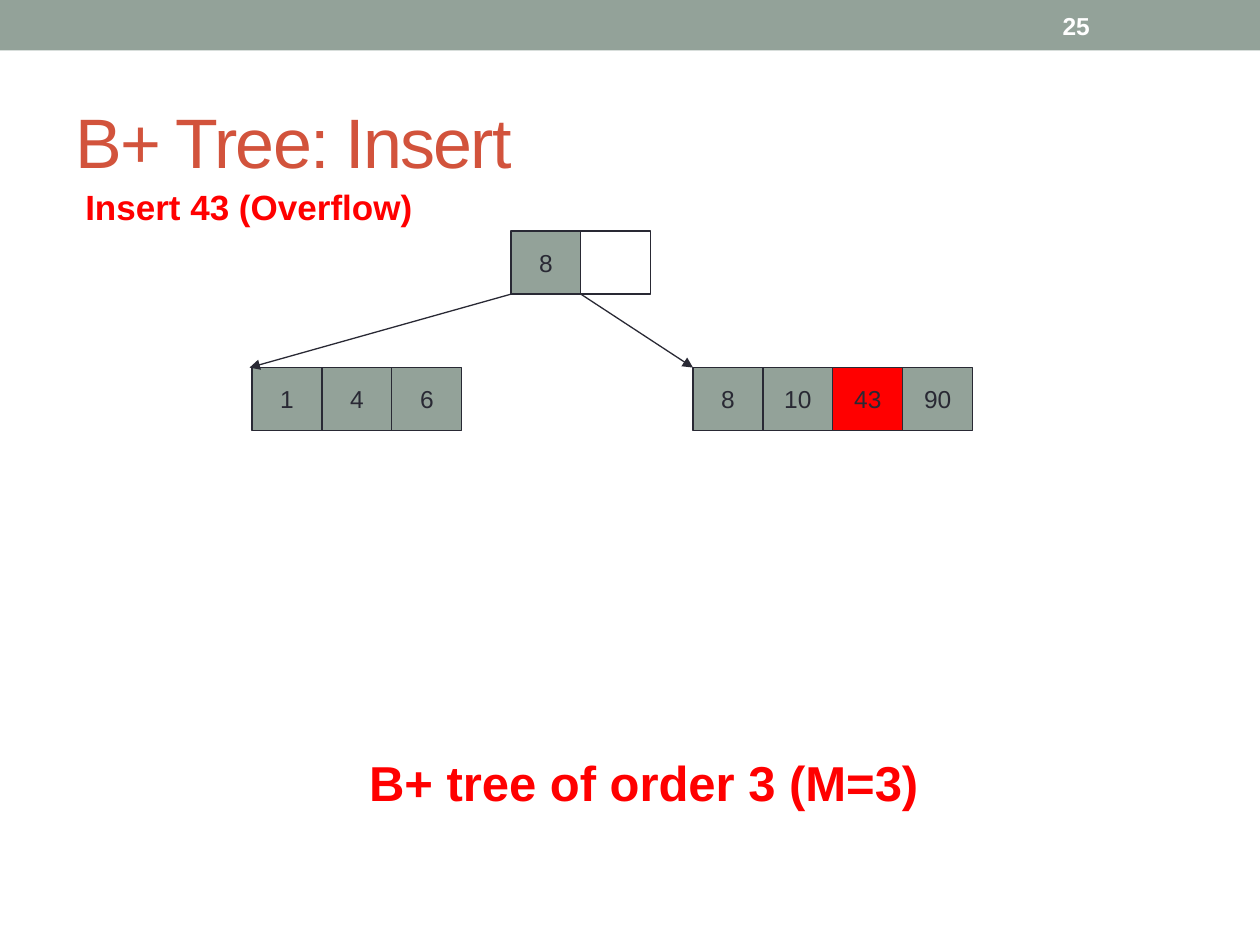
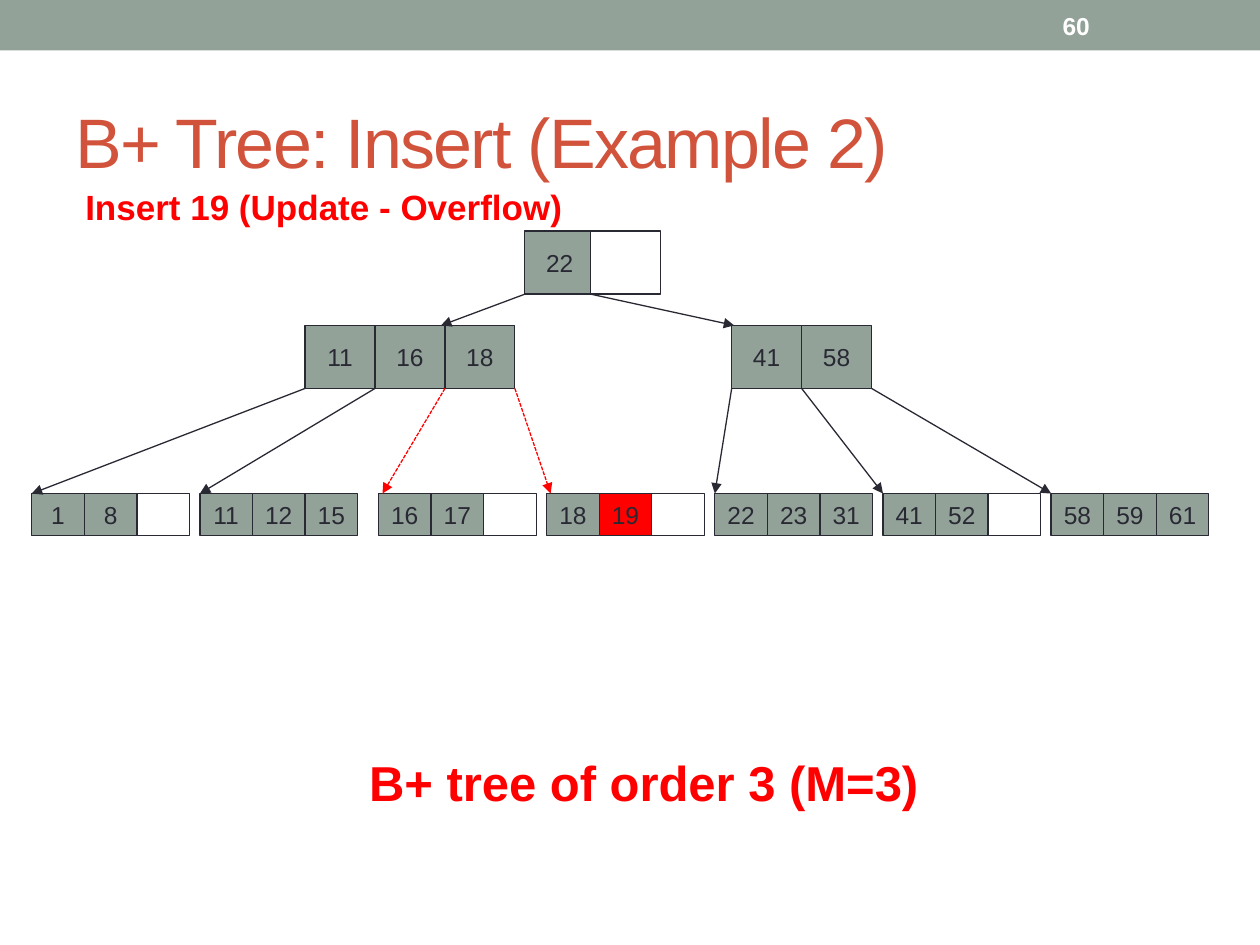
from dataclasses import dataclass

from lxml.etree import SubElement
from pptx import Presentation
from pptx.dml.color import RGBColor
from pptx.enum.dml import MSO_LINE
from pptx.enum.shapes import MSO_CONNECTOR, MSO_SHAPE
from pptx.enum.text import MSO_ANCHOR, MSO_AUTO_SIZE, PP_ALIGN
from pptx.oxml.ns import qn
from pptx.util import Cm, Pt

HUES = {
    "sage": "93A299",
    "rust": "D2533C",
    "red": "FF0000",
    "ink": "292934",
    "white": "FFFFFF",
}
FACE = "Arial"
ROOT_TOP = 4.66


@dataclass
class Node:
    keys: list
    left: float
    top: float
    wide: float = 1.41
    high: float = 1.27
    step: float = 1.41


def hue(name):
    return RGBColor.from_string(HUES[name])


def style(par, size, name, bold=False):
    font = par.font
    font.name, font.size, font.bold = FACE, Pt(size), bold
    font.color.rgb = hue(name)


def add_rect(shapes, box, fill, line=None):
    rect = shapes.add_shape(MSO_SHAPE.RECTANGLE, *map(Cm, box))
    rect.shadow.inherit = False
    rect.fill.solid()
    rect.fill.fore_color.rgb = hue(fill)
    if line:
        rect.line.color.rgb = hue(line)
        rect.line.width = Pt(0.75)
    else:
        rect.line.fill.background()
    return rect


def add_label(slide, box, text, size, name):
    frame = slide.shapes.add_textbox(*map(Cm, box)).text_frame
    frame.word_wrap = False
    frame.auto_size = MSO_AUTO_SIZE.SHAPE_TO_FIT_TEXT
    frame.text = text
    style(frame.paragraphs[0], size, name, True)
    return frame


def add_band(slide, box, page):
    left, top, wide, high = box
    add_rect(slide.shapes, box, "sage")
    spot = (left + 21.17, top + 0.05, 2.96, high - 0.1)
    frame = add_label(slide, spot, page, 14, "white")
    frame.auto_size = MSO_AUTO_SIZE.NONE
    frame.word_wrap = True
    frame.vertical_anchor = MSO_ANCHOR.MIDDLE


def add_title(slide, box, text):
    title = slide.shapes.title
    title.left, title.top, title.width, title.height = map(Cm, box)
    frame = title.text_frame
    frame.text = text
    frame.auto_size = MSO_AUTO_SIZE.NONE
    frame.vertical_anchor = MSO_ANCHOR.MIDDLE
    par = frame.paragraphs[0]
    par.alignment = PP_ALIGN.LEFT
    style(par, 40, "rust")
    par.runs[0]._r.get_or_add_rPr().set("spc", "-100")


def add_node(slide, node, hot):
    group = slide.shapes.add_group_shape()
    for i, key in enumerate(node.keys):
        fill = "red" if key == hot else "sage" if key else "white"
        box = (node.left + i * node.step, node.top, node.wide, node.high)
        cell = add_rect(group.shapes, box, fill, "ink")
        if key:
            frame = cell.text_frame
            frame.word_wrap = False
            frame.vertical_anchor = MSO_ANCHOR.MIDDLE
            frame.text = key
            par = frame.paragraphs[0]
            par.alignment = PP_ALIGN.CENTER
            style(par, 14, "ink")


def add_link(slide, node, joint, child, slot=0, nudge=0, fresh=False):
    start = (node.left + joint * node.step, node.top + node.high)
    end = (child.left + slot * child.step + nudge, child.top)
    link = slide.shapes.add_connector(
        MSO_CONNECTOR.STRAIGHT, *map(Cm, start + end))
    link.line.width = Pt(0.75)
    link.line.color.rgb = hue("red" if fresh else "ink")
    if fresh:
        link.line.dash_style = MSO_LINE.SQUARE_DOT
    SubElement(link.line._get_or_add_ln(), qn("a:tailEnd"), type="triangle")
    SubElement(link._element.spPr, qn("a:effectLst"))


def add_page(deck, page, title, task, wide):
    slide = deck.slides.add_slide(deck.slide_layouts[5])
    add_band(slide, (0, 0, 25.4, 1.02), page)
    add_title(slide, (1.27, 1.47, 22.86, 2.74), title)
    add_label(slide, (1.47, 3.61, wide, 1.11), task, 20, "red")
    add_label(slide, (7.19, 15.04, 12.52, 1.45),
              "B+ tree of order 3 (M=3)", 28, "red")
    return slide


def small_tree(slide):
    root = Node(["8", ""], 10.3, ROOT_TOP)
    low = Node(["1", "4", "6"], 5.08, 7.41)
    high = Node(["8", "10", "43", "90"], 13.97, 7.41)
    for node in (root, low, high):
        add_node(slide, node, "43")
    add_link(slide, root, 0, low, nudge=-0.05)
    add_link(slide, root, 1, high)


def large_tree(slide):
    root = Node(["22", ""], 10.58, ROOT_TOP, step=1.33)
    low = Node(["11", "16", "18"], 6.15, 6.56)
    high = Node(["41", "58"], 14.75, 6.56)
    rows = [
        ["1", "8", ""], ["11", "12", "15"], ["16", "17", ""],
        ["18", "19", ""], ["22", "23", "31"], ["41", "52", ""],
        ["58", "59", "61"],
    ]
    leaves = [
        Node(keys, 0.64 + 3.39 * i + (0.21 if i > 1 else 0), 9.95,
             1.06, 0.85, 1.06)
        for i, keys in enumerate(rows)
    ]
    for node in [root, low, high] + leaves:
        add_node(slide, node, "19")
    add_link(slide, root, 0, low, slot=2, nudge=-0.08)
    add_link(slide, root, 1, high, nudge=0.05)
    for i, leaf in enumerate(leaves[:4]):
        fresh = i > 1
        add_link(slide, low, i, leaf, nudge=0.08 if fresh else 0, fresh=fresh)
    for i, leaf in enumerate(leaves[4:]):
        add_link(slide, high, i, leaf)


def main():
    deck = Presentation()
    deck.slide_width, deck.slide_height = Cm(25.4), Cm(19.05)
    small_tree(add_page(deck, "25", "B+ Tree: Insert",
                        "Insert 43 (Overflow)", 7.37))
    large_tree(add_page(deck, "60", "B+ Tree: Insert (Example 2)",
                        "Insert 19 (Update - Overflow)", 10.67))
    deck.save("out.pptx")


if __name__ == "__main__":
    main()
